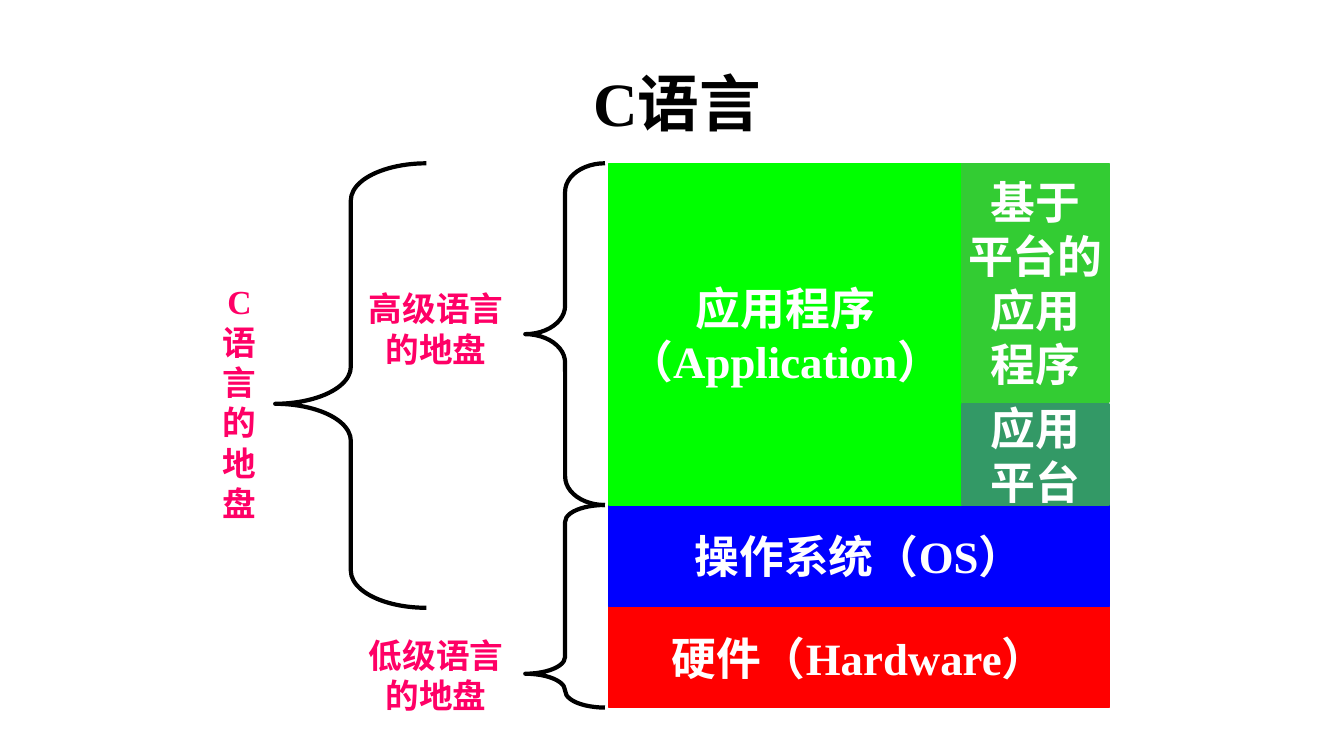
import pptx
import pptx.util
from pptx.dml.color import RGBColor
from pptx.enum.shapes import MSO_SHAPE
from pptx.enum.text import MSO_ANCHOR, PP_ALIGN
from pptx.util import Inches

FONT = "Times New Roman"
BLACK = RGBColor(0x00, 0x00, 0x00)
WHITE = RGBColor(0xFF, 0xFF, 0xFF)
PINK = RGBColor(0xFF, 0x00, 0x66)
RED = RGBColor(0xFF, 0x00, 0x00)
BLUE = RGBColor(0x00, 0x00, 0xFF)
LIME = RGBColor(0x00, 0xFF, 0x00)
GREEN = RGBColor(0x33, 0xCC, 0x33)
TEAL = RGBColor(0x33, 0x99, 0x66)

# Edges shared by the layers and the braces
TOP, OS_TOP, HARDWARE_TOP = 1.62, 5.01, 6.02
LEFT, PLATFORM_LEFT, RIGHT = 6.04, 9.54, 11.0
LAYER_HEIGHT = 1.0
BOTTOM = HARDWARE_TOP + LAYER_HEIGHT
PLATFORM_TOP = OS_TOP - LAYER_HEIGHT

TITLE = ("C语言", (2.25, 0.59, 8.93, 0.84))

# lines, colour, (left, top, right, bottom)
LAYERS = [
    (["硬件（Hardware）"], RED, (LEFT, HARDWARE_TOP, RIGHT, BOTTOM)),
    (["操作系统（OS）"], BLUE, (LEFT, OS_TOP, RIGHT, HARDWARE_TOP)),
    (["应用程序", "（Application）"], LIME, (LEFT, TOP, PLATFORM_LEFT, OS_TOP)),
    (["应用", "平台"], TEAL, (PLATFORM_LEFT, PLATFORM_TOP, RIGHT, OS_TOP)),
    (["基于", "平台的", "应用", "程序"], GREEN,
     (PLATFORM_LEFT, TOP, RIGHT, PLATFORM_TOP - 0.02)),
]

# (left, top, right, bottom), (curve, tip position)
BRACES = [
    ((5.21, OS_TOP, 6.0, BOTTOM), (0.211, 0.833)),
    ((5.21, TOP, 6.0, OS_TOP), (0.358, 0.5)),
    ((2.73, TOP, 4.23, HARDWARE_TOP + 0.01), (0.245, 0.541)),
]

# text, (left, top, width, height)
LABELS = [
    ("低级语言的地盘", (3.52, 6.25, 1.61, 0.91)),
    ("高级语言的地盘", (3.52, 2.81, 1.61, 0.91)),
    ("C语言的地盘", (2.02, 2.74, 0.71, 2.52)),
]


def write(frame, lines, size, color, anchor, wrap):
    """Fill a text frame with one centred paragraph, broken into lines."""
    frame.word_wrap = wrap
    frame.vertical_anchor = anchor
    para = frame.paragraphs[0]
    para.alignment = PP_ALIGN.CENTER
    for index, line in enumerate(lines):
        if index:
            para.add_line_break()
        span = para.add_run()
        span.text = line
        span.font.name = FONT
        span.font.size = pptx.util.Pt(size)
        span.font.bold = True
        span.font.color.rgb = color


def add_text(page, text, place, size, color, anchor=MSO_ANCHOR.TOP):
    box = page.shapes.add_textbox(*map(Inches, place))
    write(box.text_frame, [text], size, color, anchor, True)


def add_outlined(page, kind, edges, color, width):
    """Add a shape between left, top, right and bottom edges."""
    left, top, right, bottom = edges
    shape = page.shapes.add_shape(
        kind, *map(Inches, (left, top, right - left, bottom - top)))
    shape.shadow.inherit = False
    shape.line.color.rgb = color
    shape.line.width = pptx.util.Pt(width)
    return shape


def main():
    deck = pptx.Presentation()
    deck.slide_width, deck.slide_height = Inches(13.33), Inches(7.5)
    page = deck.slides.add_slide(deck.slide_layouts[6])

    add_text(page, *TITLE, 44, BLACK, MSO_ANCHOR.BOTTOM)
    for lines, color, edges in LAYERS:
        layer = add_outlined(page, MSO_SHAPE.RECTANGLE, edges, color, 1)
        layer.fill.solid()
        layer.fill.fore_color.rgb = color
        write(layer.text_frame, lines, 32, WHITE, MSO_ANCHOR.MIDDLE, False)
    for edges, (curve, tip) in BRACES:
        brace = add_outlined(page, MSO_SHAPE.LEFT_BRACE, edges, BLACK, 3)
        brace.fill.background()
        brace.adjustments[0] = curve
        brace.adjustments[1] = tip
    for text, place in LABELS:
        add_text(page, text, place, 24, PINK)

    deck.save("out.pptx")


if __name__ == "__main__":
    main()
